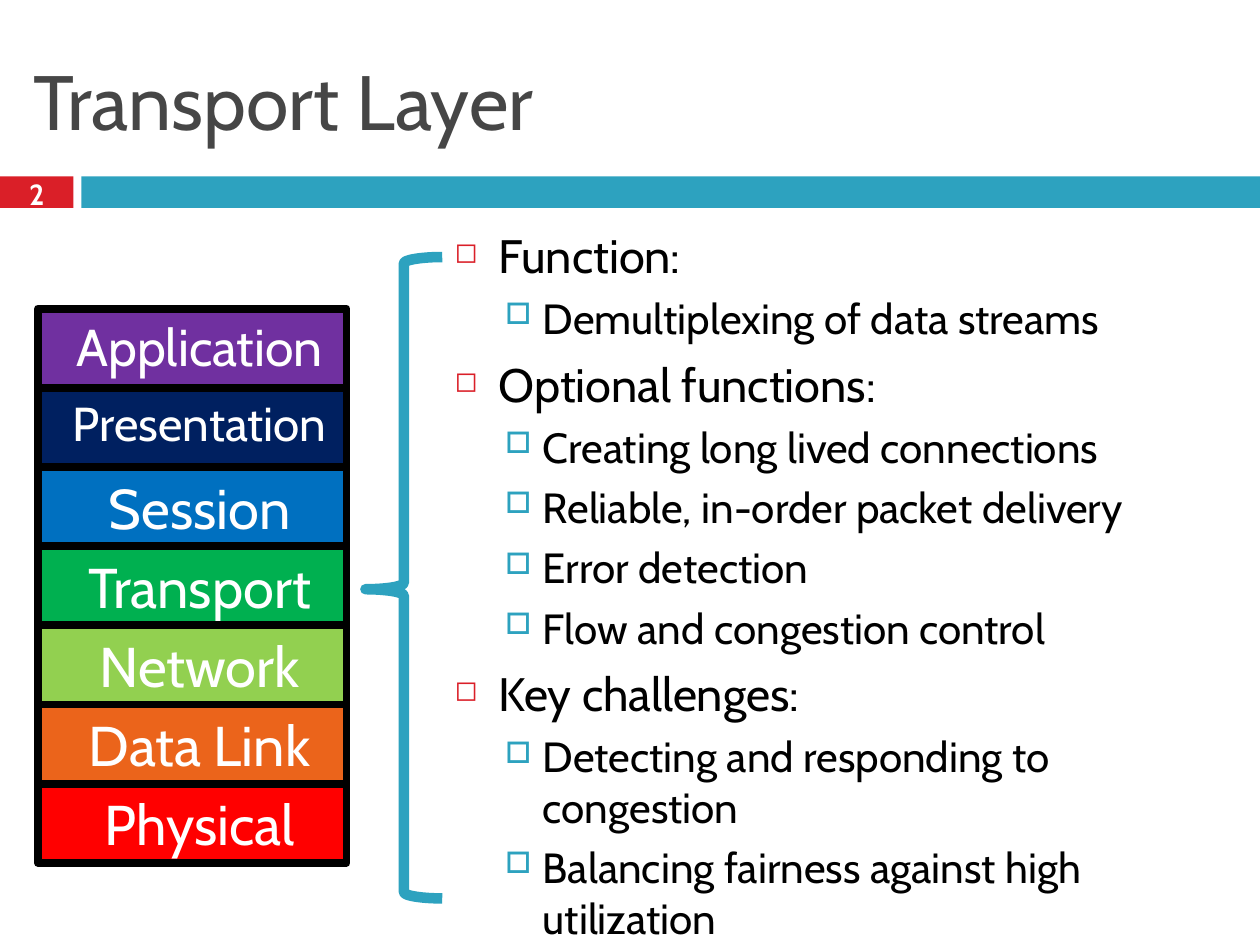
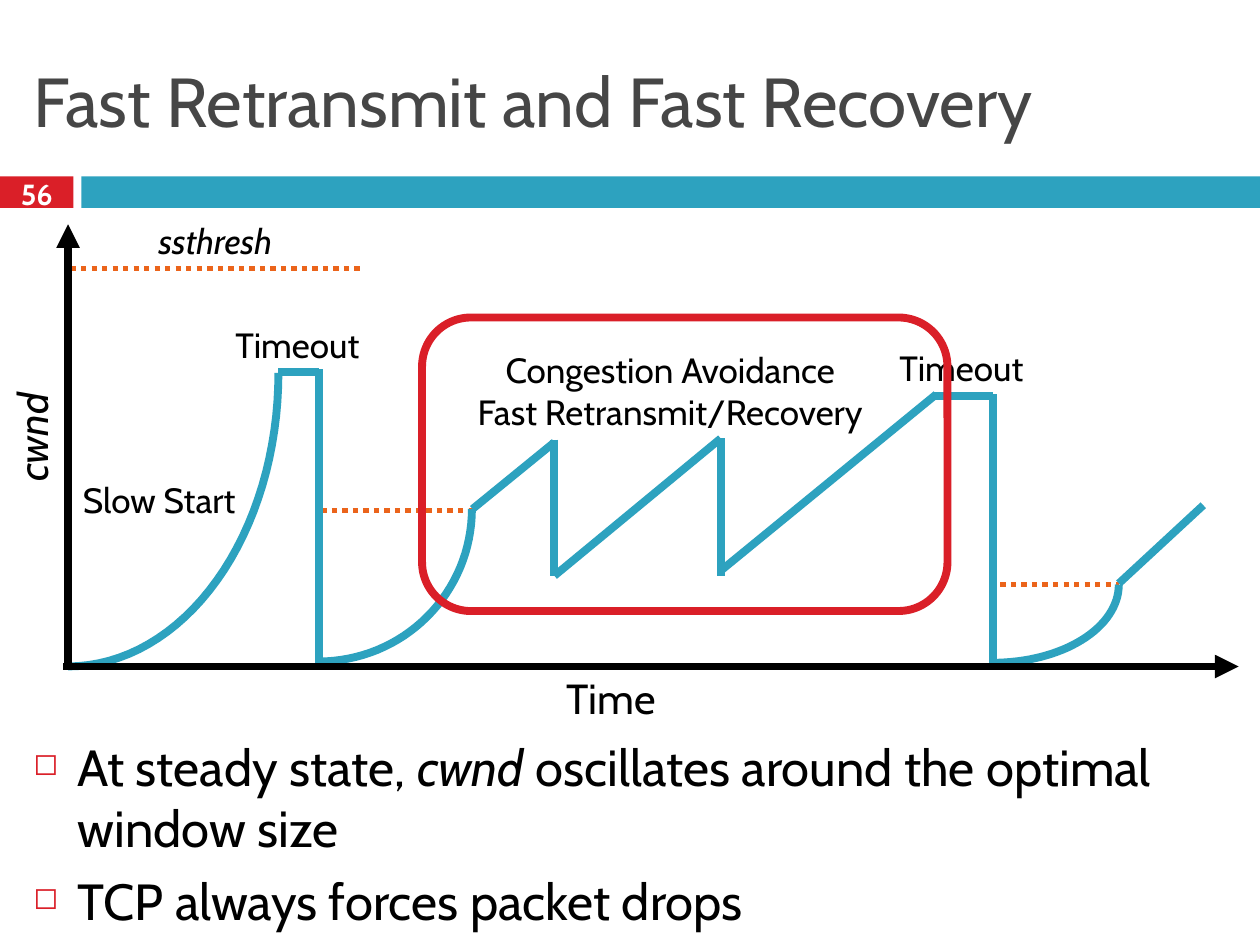
from math import cos, pi, sin
from typing import NamedTuple

from lxml.etree import SubElement
from pptx import Presentation
from pptx.dml.color import RGBColor
from pptx.enum.dml import MSO_LINE
from pptx.enum.shapes import MSO_CONNECTOR, MSO_SHAPE
from pptx.enum.text import MSO_ANCHOR as ANCHOR, MSO_AUTO_SIZE as AUTO, PP_ALIGN as ALIGN
from pptx.oxml.ns import qn
from pptx.util import Pt

FONT = "Cabin"
COLORS = {
    "red": "DA1F28",
    "teal": "2DA2BF",
    "title": "464646",
    "black": "000000",
    "white": "FFFFFF",
    "orange": "EB641B",
    "purple": "7030A0",
    "navy": "002060",
    "blue": "0070C0",
    "green": "00B050",
    "lime": "92D050",
    "bright red": "FF0000",
}


class Box(NamedTuple):
    x: float
    y: float
    w: float
    h: float


class Level(NamedTuple):
    margin: float
    indent: float
    before: float
    char: str
    color: str
    percent: int


class Bullet(NamedTuple):
    level: int
    text: str
    size: float


class Layer(NamedTuple):
    name: str
    color: str
    size: float = 32


class Segment(NamedTuple):
    x1: float
    y1: float
    x2: float
    y2: float


class Arc(NamedTuple):
    cx: float
    cy: float
    rx: float
    ry: float


class Label(NamedTuple):
    box: Box
    text: str
    size: float = 20
    italic: bool = False
    align: ALIGN = ALIGN.LEFT
    rotation: float = 0


LEVELS = [
    Level(25.2, -25.2, 7, "◻", "red", 60),
    Level(50.4, -21.6, 5.5, "□", "teal", 70),
]

LAYERS = [
    Layer("Application", "purple", 29.6),
    Layer("Presentation", "navy", 27.2),
    Layer("Session", "blue"),
    Layer("Transport", "green"),
    Layer("Network", "lime"),
    Layer("Data Link", "orange"),
    Layer("Physical", "bright red"),
]
STACK = Box(21.6, 176.4, 176.4, 45.24)

TRANSPORT_POINTS = [
    Bullet(0, "Function:", 26.8),
    Bullet(1, "Demultiplexing of data streams", 24.1),
    Bullet(0, "Optional functions:", 26.8),
    Bullet(1, "Creating long lived connections", 24.1),
    Bullet(1, "Reliable, in-order packet delivery", 24.1),
    Bullet(1, "Error detection", 24.1),
    Bullet(1, "Flow and congestion control", 24.1),
    Bullet(0, "Key challenges:", 26.8),
    Bullet(1, "Detecting and responding to congestion", 24.1),
    Bullet(1, "Balancing fairness against high utilization", 24.1),
]
RECOVERY_POINTS = [
    Bullet(0, "At steady state, *cwnd* oscillates around the optimal window size", 29),
    Bullet(0, "TCP always forces packet drops", 29),
]

TIME_AXIS_Y = 380.88
THRESHOLDS = [
    Segment(40.32, 153.36, 208.08, 153.36),
    Segment(183.6, 291.6, 270.72, 291.6),
    Segment(571.68, 334.08, 639.36, 334.08),
]
SLOW_STARTS = [
    Arc(38.88, 213.12, 120.24, 167.76),
    Arc(182.16, 290.88, 87.5, 87.12),
    Arc(567.36, 334.08, 72, 44.64),
]
WINDOW_SIZES = [
    Segment(159.12, 212.4, 182.16, 212.4),
    Segment(182.16, 210.96, 182.16, 378.72),
    Segment(270, 290.88, 316.8, 252.72),
    Segment(316.8, 251.28, 316.8, 329.04),
    Segment(316.8, 329.04, 411.84, 250.56),
    Segment(411.84, 250.56, 411.84, 329.04),
    Segment(411.84, 326.16, 534.96, 225.36),
    Segment(533.52, 226.08, 567.36, 226.08),
    Segment(567.36, 225.36, 567.36, TIME_AXIS_Y),
    Segment(639.36, 333.36, 687.6, 288.72),
]
AXES = [
    Segment(38.88, TIME_AXIS_Y, 38.88, 128.16),
    Segment(36, TIME_AXIS_Y, 707.76, TIME_AXIS_Y),
]
LABELS = [
    Label(Box(316.8, 380.88, 67.68, 36.72), "Time", 24),
    Label(Box(-17.28, 228.24, 71.28, 36.72), "cwnd", 24, italic=True, rotation=270),
    Label(Box(127.44, 181.44, 87.12, 31.68), "Timeout"),
    Label(Box(506.88, 194.4, 87.12, 31.68), "Timeout"),
    Label(Box(40.32, 270, 106.56, 31.68), "Slow Start"),
    Label(Box(77.76, 121.68, 90.72, 31.68), "ssthresh", italic=True, align=ALIGN.CENTER),
    Label(Box(247.68, 195.84, 270.72, 55.44),
          "Congestion Avoidance\nFast Retransmit/Recovery", align=ALIGN.CENTER),
]


def rgb(name: str) -> RGBColor:
    return RGBColor.from_string(COLORS[name])


def place(box: Box) -> list[Pt]:
    return [Pt(v) for v in box]


def write(p, text: str, *, size: float, color: str = "black",
          bold: bool = False, italic: bool = False) -> None:
    r = p.add_run()
    r.text = text
    r.font.name = FONT
    r.font.size = Pt(size)
    r.font.bold = bold
    r.font.italic = italic
    r.font.color.rgb = rgb(color)


def add_text(s, box: Box, *, anchor=ANCHOR.TOP, wrap: bool = True):
    sp = s.shapes.add_textbox(*place(box))
    tf = sp.text_frame
    tf.word_wrap = wrap
    tf.vertical_anchor = anchor
    return sp


def style_line(line, color: str, width: float) -> None:
    line.color.rgb = rgb(color)
    line.width = Pt(width)


def add_box(s, kind: MSO_SHAPE, box: Box, *, fill: str = "",
            line: str = "", width: float = 4.5):
    sp = s.shapes.add_shape(kind, *place(box))
    sp.shadow.inherit = False
    if fill:
        sp.fill.solid()
        sp.fill.fore_color.rgb = rgb(fill)
    else:
        sp.fill.background()
    if line:
        style_line(sp.line, line, width)
    else:
        sp.line.fill.background()
    return sp


def add_segment(s, seg: Segment, color: str, *, width: float = 4.5,
                dotted: bool = False, arrow: bool = False) -> None:
    cx = s.shapes.add_connector(MSO_CONNECTOR.STRAIGHT, *[Pt(v) for v in seg])
    style_line(cx.line, color, width)
    if dotted:
        cx.line.dash_style = MSO_LINE.ROUND_DOT
    sp_pr = cx._element.spPr
    if arrow:
        SubElement(sp_pr.find(qn("a:ln")), qn("a:tailEnd"), type="triangle")
    SubElement(sp_pr, qn("a:effectLst"))


def add_arc(s, arc: Arc, color: str, steps: int = 32) -> None:
    angles = [pi / 2 * i / steps for i in range(steps + 1)]
    points = [(Pt(arc.cx + arc.rx * cos(a)), Pt(arc.cy + arc.ry * sin(a))) for a in angles]
    builder = s.shapes.build_freeform(*points[0])
    builder.add_line_segments(points[1:], close=False)
    sp = builder.convert_to_shape()
    sp.shadow.inherit = False
    sp.fill.background()
    style_line(sp.line, color, 4.5)


def set_bullet(p, level: Level) -> None:
    p_pr = p._p.get_or_add_pPr()
    p_pr.set("marL", str(Pt(level.margin)))
    p_pr.set("indent", str(Pt(level.indent)))
    bu_clr = SubElement(p_pr, qn("a:buClr"))
    SubElement(bu_clr, qn("a:srgbClr"), val=COLORS[level.color])
    SubElement(p_pr, qn("a:buSzPct"), val=str(level.percent * 1000))
    SubElement(p_pr, qn("a:buChar"), char=level.char)


def add_bullets(s, box: Box, bullets: list[Bullet]) -> None:
    tf = add_text(s, box).text_frame
    for i, bullet in enumerate(bullets):
        p = tf.add_paragraph() if i else tf.paragraphs[0]
        level = LEVELS[bullet.level]
        p.level = bullet.level
        set_bullet(p, level)
        p.space_before = Pt(level.before if i else 0)
        for j, part in enumerate(bullet.text.split("*")):
            write(p, part, size=bullet.size, italic=j % 2 == 1)


def add_label(s, label: Label) -> None:
    lines = label.text.split("\n")
    sp = add_text(s, label.box, wrap=len(lines) > 1)
    sp.rotation = label.rotation
    tf = sp.text_frame
    tf.auto_size = AUTO.SHAPE_TO_FIT_TEXT
    for i, line in enumerate(lines):
        p = tf.add_paragraph() if i else tf.paragraphs[0]
        p.alignment = label.align
        write(p, line, size=label.size, italic=label.italic)


def add_slide(prs, title: str, number: int, title_size: float):
    s = prs.slides.add_slide(prs.slide_layouts[6])
    add_box(s, MSO_SHAPE.RECTANGLE, Box(0, 100.8, 42, 18), fill="red")
    add_box(s, MSO_SHAPE.RECTANGLE, Box(46.5, 100.8, 673.5, 18), fill="teal")
    tf = add_text(s, Box(12, 18, 696, 78), anchor=ANCHOR.MIDDLE).text_frame
    write(tf.paragraphs[0], title, size=title_size, color="title")
    tf = add_text(s, Box(0, 98.64, 42, 24), anchor=ANCHOR.MIDDLE).text_frame
    p = tf.paragraphs[0]
    p.alignment = ALIGN.CENTER
    write(p, str(number), size=16.6, color="white", bold=True)
    return s


def build_transport(prs) -> None:
    s = add_slide(prs, "Transport Layer", 2, 44)
    add_bullets(s, Box(252.72, 126, 467.28, 401.76), TRANSPORT_POINTS)
    for i, layer in enumerate(LAYERS):
        box = STACK._replace(y=STACK.y + i * STACK.h)
        sp = add_box(s, MSO_SHAPE.RECTANGLE, box, fill=layer.color, line="black")
        tf = sp.text_frame
        tf.vertical_anchor = ANCHOR.TOP
        p = tf.paragraphs[0]
        p.alignment = ALIGN.CENTER
        p._p.get_or_add_pPr().set("marL", str(Pt(8.64)))
        write(p, layer.name, size=layer.size, color="white")
    brace = add_box(s, MSO_SHAPE.LEFT_BRACE, Box(208.8, 146.88, 43.92, 366.48),
                    line="teal", width=6)
    brace.adjustments[0] = 0.083
    brace.adjustments[1] = 0.518


def build_recovery(prs) -> None:
    s = add_slide(prs, "Fast Retransmit and Fast Recovery", 56, 39.6)
    add_bullets(s, Box(12, 416.88, 696, 123.12), RECOVERY_POINTS)
    for seg in THRESHOLDS:
        add_segment(s, seg, "orange", width=3, dotted=True)
    for label in LABELS:
        add_label(s, label)
    for arc in SLOW_STARTS:
        add_arc(s, arc, "teal")
    for seg in WINDOW_SIZES:
        add_segment(s, seg, "teal")
    for seg in AXES:
        add_segment(s, seg, "black", arrow=True)
    add_box(s, MSO_SHAPE.ROUNDED_RECTANGLE, Box(241.2, 181.44, 300.24, 167.76), line="red")


def main() -> None:
    prs = Presentation()
    prs.slide_width, prs.slide_height = Pt(720), Pt(540)
    build_transport(prs)
    build_recovery(prs)
    prs.save("out.pptx")


if __name__ == "__main__":
    main()
